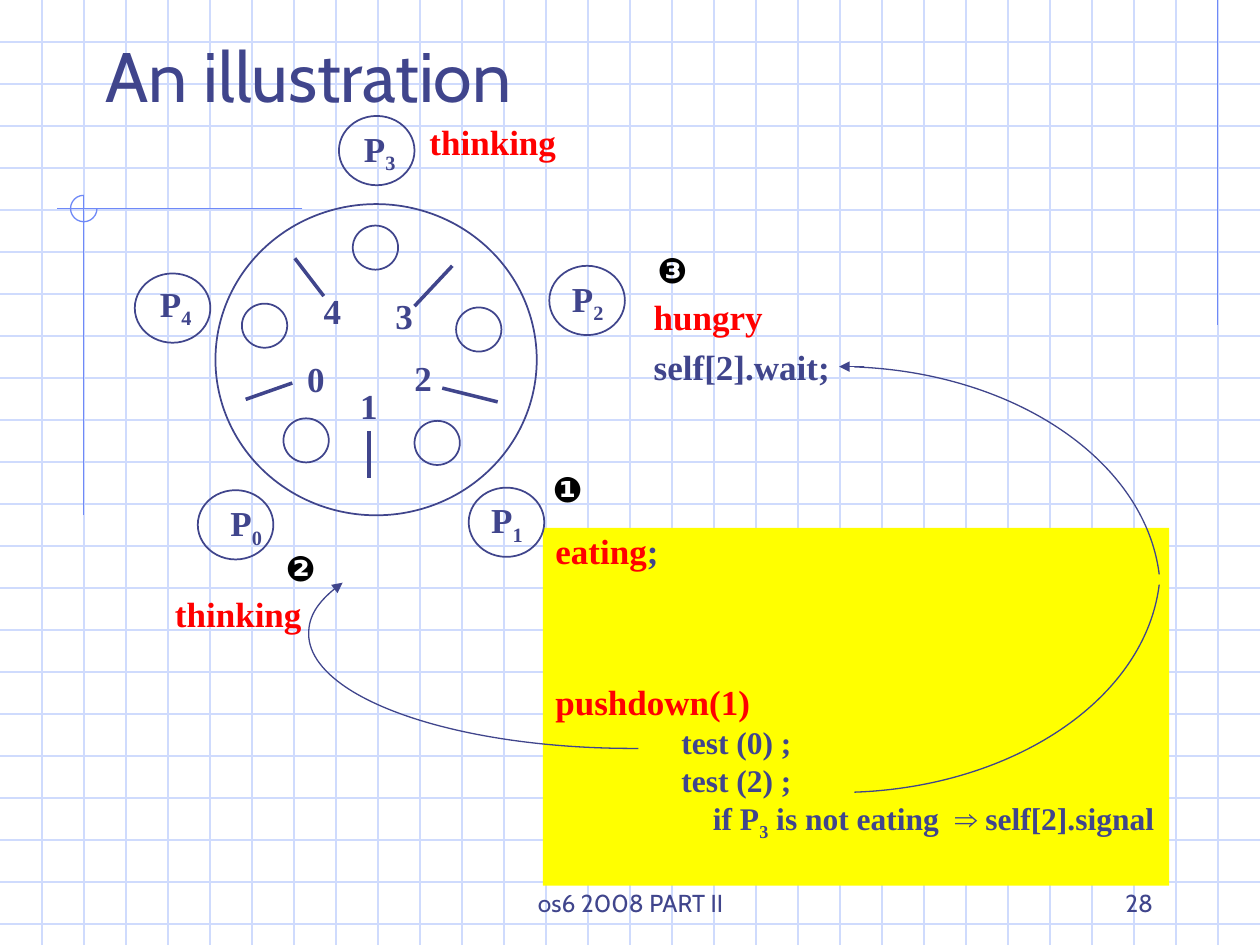
from typing import NamedTuple

from lxml.etree import SubElement
from pptx import Presentation
from pptx.dml.color import RGBColor
from pptx.enum.shapes import MSO_CONNECTOR, MSO_SHAPE
from pptx.enum.text import MSO_ANCHOR, MSO_AUTO_SIZE, PP_ALIGN
from pptx.oxml.ns import qn
from pptx.util import Inches, Pt

COLUMNS, ROWS = 100, 75
CELL = Inches(0.1)

INK = RGBColor(0x40, 0x45, 0x8C)
RED = RGBColor(0xFF, 0x00, 0x00)
BLACK = RGBColor(0x00, 0x00, 0x00)
YELLOW = RGBColor(0xFF, 0xFF, 0x00)
GRID_BLUE = RGBColor(0xCF, 0xDB, 0xFD)
RULE_BLUE = RGBColor(0x6F, 0x89, 0xF7)
SERIF, SANS, SYMBOL = "Times New Roman", "Cabin", "Arial"


class Span(NamedTuple):
    text: str
    color: RGBColor = INK
    size: float = 20
    font: str = SERIF
    bold: bool = True
    subscript: bool = False
    tracking: float = 0


class Line(NamedTuple):
    spans: list[Span]
    before: float = 0
    indent: float = 0
    spacing: float = 1.0


class Area(NamedTuple):
    """Columns and rows of the slide grid."""
    left: float
    top: float
    width: float
    height: float


class Seat(NamedTuple):
    number: int
    circle: tuple[float, float]
    label: tuple[float, float]


class Fork(NamedTuple):
    number: int
    label: tuple[float, float]
    start: tuple[float, float]
    end: tuple[float, float]


class Arc(NamedTuple):
    """Part of an ellipse, in degrees clockwise from the right."""
    ellipse: Area
    start: float
    end: float
    color: RGBColor = INK
    arrow: bool = False


SEATS = [
    Seat(0, (15.7, 38.9), (17.3, 39.3)),
    Seat(1, (37.2, 38.7), (38, 39.1)),
    Seat(2, (43.6, 21.1), (44.4, 21.5)),
    Seat(3, (26.9, 9.2), (27.9, 9.6)),
    Seat(4, (10.7, 21.7), (11.7, 21.9)),
]
FORKS = [
    Fork(0, (23.4, 27.9), (19.5, 31.7), (23.2, 30.4)),
    Fork(1, (27.6, 30), (29.3, 34.2), (29.3, 37.9)),
    Fork(2, (31.9, 27.8), (35.1, 30.8), (39.5, 31.9)),
    Fork(3, (30.4, 22.9), (35.9, 21.1), (32.9, 24.3)),
    Fork(4, (24.7, 22.5), (23.4, 20.5), (25.7, 23.5)),
]
PLATES = [(28, 17.9), (36.2, 24.4), (32.9, 33.4), (22.5, 33.2), (19.2, 24.1)]
STEPS = [("❶", (42.9, 37)), ("❷", (21.7, 43.3)), ("❸", (51.2, 19.6))]
RULES = [((96.65, 0), (96.65, 25.8)), ((24, 16.55), (4.5, 16.55)), ((6.65, 15.5), (6.65, 40.9))]
CORNER = Arc(Area(5.6, 15.5, 2.1, 2.1), 0, 270, RULE_BLUE)
SIGNALS = [
    Arc(Area(41, 26.8, 51.1, 36.1), 3.5, 86),
    Arc(Area(41, 29.1, 51.1, 36.1), 274, 356.5),
    Arc(Area(24.5, 41.2, 51.4, 18.2), 87, 190, arrow=True),
]
PUSHDOWN = [
    Line([Span("eating", RED), Span(";")], spacing=0.9),
    Line([Span("pushdown(1)", RED)], before=65, spacing=0.9),
    Line([Span("test (0) ;", size=18)], indent=10),
    Line([Span("test (2) ;", size=18)], indent=10),
    Line([Span("if P", size=18), Span("3", size=18, subscript=True),
          Span(" is not eating", size=18), Span(" ", size=18, tracking=4.5),
          Span("⇒", size=18, font=SYMBOL), Span(" self[2].signal", size=18)], indent=12.5),
]


def cells(*counts: float) -> list[int]:
    return [round(count * CELL) for count in counts]


def write(shape, lines: list[Line], align=PP_ALIGN.LEFT, anchor=MSO_ANCHOR.TOP) -> None:
    frame = shape.text_frame
    frame.word_wrap = True
    frame.auto_size = MSO_AUTO_SIZE.NONE
    frame.vertical_anchor = anchor
    frame.margin_left = CELL
    frame.margin_right = 0 if align == PP_ALIGN.LEFT else CELL
    frame.margin_top = frame.margin_bottom = CELL // 2
    for index, line in enumerate(lines):
        para = frame.add_paragraph() if index else frame.paragraphs[0]
        para.alignment = align
        para.line_spacing = line.spacing
        para.space_before = Pt(line.before)
        if line.indent:
            properties = para._p.get_or_add_pPr()
            properties.set("marL", str(cells(line.indent)[0]))
            properties.set("indent", "0")
        for span in line.spans:
            run = para.add_run()
            run.text = span.text
            run.font.name, run.font.size, run.font.bold = span.font, Pt(span.size), span.bold
            run.font.color.rgb = span.color
            if span.subscript:
                run._r.get_or_add_rPr().set("baseline", "-25000")
            if span.tracking:
                run._r.get_or_add_rPr().set("spc", str(round(span.tracking * 100)))


def add_text(page, area: Area, *lines: Line, **layout) -> None:
    write(page.shapes.add_textbox(*cells(*area)), list(lines), **layout)


def stroke(shape, color: RGBColor, width: float, arrow: bool = False) -> None:
    shape.line.color.rgb = color
    shape.line.width = Pt(width)
    if arrow:
        SubElement(shape.element.find(".//" + qn("a:ln")), qn("a:tailEnd"), type="triangle")


def add_line(page, start, end, color: RGBColor, width: float = 0.75, arrow: bool = False) -> None:
    line = page.shapes.add_connector(MSO_CONNECTOR.STRAIGHT, *cells(*start, *end))
    stroke(line, color, width, arrow)
    SubElement(line.element.find(qn("p:spPr")), qn("a:effectLst"))


def add_outline(page, preset, area: Area, color: RGBColor, width: float, arrow: bool = False):
    outline = page.shapes.add_shape(preset, *cells(*area))
    outline.shadow.inherit = False
    outline.fill.background()
    stroke(outline, color, width, arrow)
    return outline


def add_arc(page, arc: Arc) -> None:
    curve = add_outline(page, MSO_SHAPE.ARC, arc.ellipse, arc.color, 0.75, arc.arrow)
    for index, angle in enumerate((arc.start, arc.end)):
        curve.adjustments[index] = angle * 0.6  # 60000 units a degree, scaled by 100000


def draw_background(page, master) -> None:
    """Draw the squared paper and move it to the master, behind its placeholders."""
    spacing = 10 / 3
    content = list(page.shapes)
    for row in range(1, 23):
        add_line(page, (0, row * spacing), (COLUMNS, row * spacing), GRID_BLUE)
    for column in range(1, 30):
        add_line(page, (column * spacing, 0), (column * spacing, ROWS), GRID_BLUE)
    for start, end in RULES:
        add_line(page, start, end, RULE_BLUE)
    add_arc(page, CORNER)
    front = master.placeholders[0].element
    for shape in list(page.shapes)[len(content):]:
        front.addprevious(shape.element)


def draw_table(page) -> None:
    add_outline(page, MSO_SHAPE.OVAL, Area(17.1, 16.2, 25.5, 24.7), INK, 1)
    for plate in PLATES:
        add_outline(page, MSO_SHAPE.OVAL, Area(*plate, 3.6, 3.5), INK, 1)
    for seat in SEATS:
        add_outline(page, MSO_SHAPE.OVAL, Area(*seat.circle, 6, 5.5), INK, 1)
        add_text(page, Area(*seat.label, 4.5, 4.8),
                 Line([Span("P"), Span(str(seat.number), subscript=True)]))
    for fork in FORKS:
        add_line(page, fork.start, fork.end, INK, 2)
        add_text(page, Area(*fork.label, 3.4, 4.4), Line([Span(str(fork.number))]))


def main() -> None:
    deck = Presentation()
    deck.slide_width, deck.slide_height = cells(COLUMNS, ROWS)
    page = deck.slides.add_slide(deck.slide_layouts[5])
    draw_background(page, deck.slide_master)

    title = page.shapes.title
    title.left, title.top, title.width, title.height = cells(5.3, 2.8, 38.4, 7)
    write(title, [Line([Span("An illustration", size=40, font=SANS, bold=False)], spacing=0.9)],
          align=PP_ALIGN.CENTER)

    box = page.shapes.add_shape(MSO_SHAPE.RECTANGLE, *cells(43.1, 41.9, 49.7, 28.4))
    box.shadow.inherit = False
    box.fill.solid()
    box.fill.fore_color.rgb = YELLOW
    box.line.fill.background()
    write(box, PUSHDOWN)

    draw_table(page)
    for left, top in [(12.9, 46.5), (33.1, 9.1)]:
        add_text(page, Area(left, top, 12.2, 4.4), Line([Span("thinking", RED)]))
    add_text(page, Area(50.9, 23.3, 16, 8.1), Line([Span("hungry", RED)], spacing=0.9),
             Line([Span("self[2].wait;")], before=7.5, spacing=0.9))
    for arc in SIGNALS:
        add_arc(page, arc)
    add_line(page, (68.6, 29.1), (66.6, 29.1), INK, arrow=True)
    for symbol, place in STEPS:
        add_text(page, Area(*place, 4.5, 4),
                 Line([Span(symbol, BLACK, font=SYMBOL)], spacing=0.9))

    for text, area, align in [
        ("os6 2008 PART II", Area(34.2, 68.3, 31.7, 5), PP_ALIGN.CENTER),
        ("28", Area(71.7, 68.3, 20.8, 5), PP_ALIGN.RIGHT),
    ]:
        add_text(page, area, Line([Span(text, size=14, font=SANS, bold=False)]),
                 align=align, anchor=MSO_ANCHOR.BOTTOM)
    deck.save("out.pptx")


if __name__ == "__main__":
    main()
